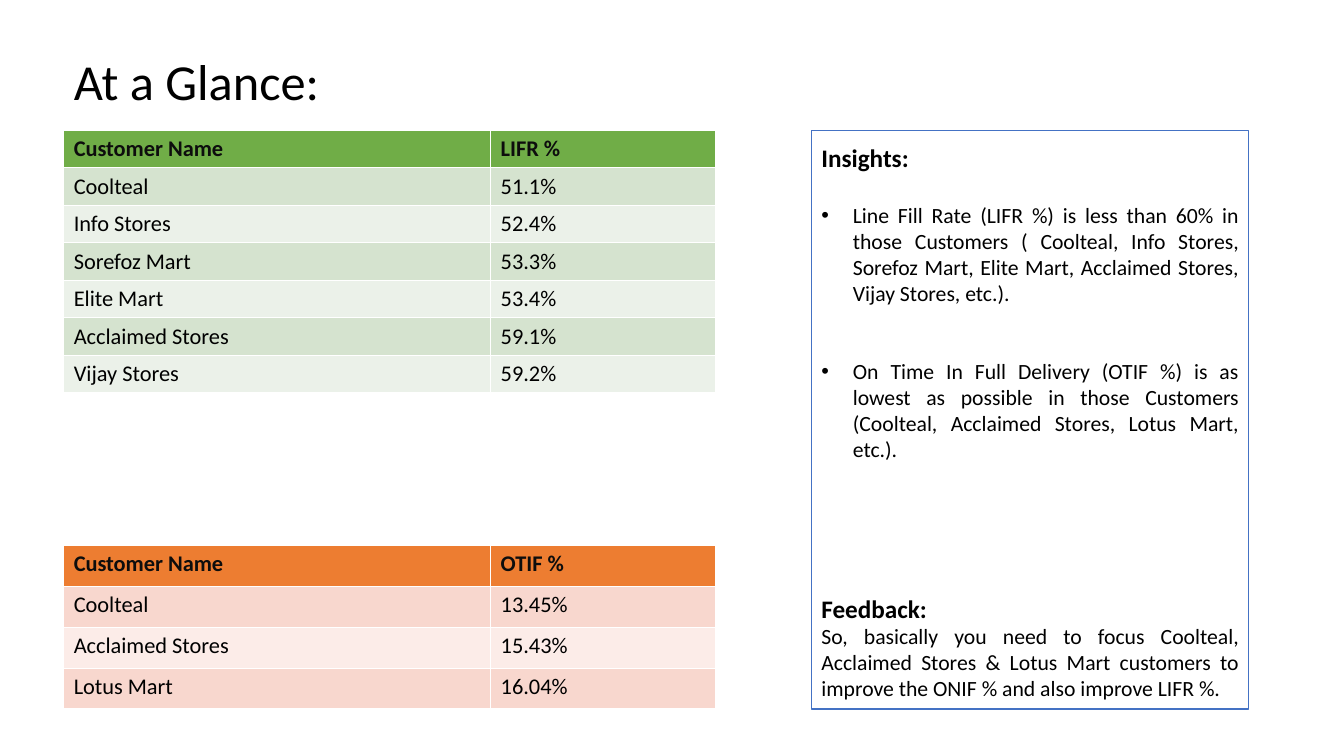
"""Build the "At a Glance" slide with two customer tables and an insights panel."""
from lxml.etree import SubElement
from pptx import Presentation
from pptx.dml.color import RGBColor
from pptx.enum.text import MSO_ANCHOR, MSO_AUTO_SIZE, PP_ALIGN
from pptx.oxml.ns import qn
from pptx.util import Pt

BLACK = RGBColor(0x00, 0x00, 0x00)
INK = RGBColor(0x0D, 0x0D, 0x0D)
WHITE = RGBColor(0xFF, 0xFF, 0xFF)
BLUE = RGBColor(0x44, 0x72, 0xC4)
GREENS = (RGBColor(0x70, 0xAD, 0x47), RGBColor(0xD5, 0xE3, 0xCF), RGBColor(0xEB, 0xF1, 0xE9))
ORANGES = (RGBColor(0xED, 0x7D, 0x31), RGBColor(0xF8, 0xD7, 0xCE), RGBColor(0xFC, 0xEC, 0xE8))

HEADLINE = "At a Glance:"
LIFR = [
    ("Customer Name", "LIFR %"),
    ("Coolteal", "51.1%"),
    ("Info Stores", "52.4%"),
    ("Sorefoz Mart", "53.3%"),
    ("Elite Mart", "53.4%"),
    ("Acclaimed Stores", "59.1%"),
    ("Vijay Stores", "59.2%"),
]
OTIF = [
    ("Customer Name", "OTIF %"),
    ("Coolteal", "13.45%"),
    ("Acclaimed Stores", "15.43%"),
    ("Lotus Mart", "16.04%"),
]
HEADING = dict(size=18, bold=True, line=22)
BULLET = dict(size=15.5, line=18.6, align=PP_ALIGN.JUSTIFY, indent=22.5)
PROSE = dict(size=15.5, line=18.6, align=PP_ALIGN.JUSTIFY)
INSIGHTS = [
    ("Insights:", HEADING, 0),
    ("Line Fill Rate (LIFR %) is less than 60% in those Customers ( Coolteal, Info Stores, "
     "Sorefoz Mart, Elite Mart, Acclaimed Stores, Vijay Stores, etc.).", BULLET, 21),
    ("On Time In Full Delivery (OTIF %) is as lowest as possible in those Customers "
     "(Coolteal, Acclaimed Stores, Lotus Mart, etc.).", BULLET, 37),
    ("Feedback:", HEADING, 93),
    ("So, basically you need to focus Coolteal, Acclaimed Stores & Lotus Mart customers to "
     "improve the ONIF % and also improve LIFR %.", PROSE, 0),
]

LEFT, TOP = 45.5, 93
COLUMNS = (305, 161)


def write(paragraph, text, size, bold=False, color=BLACK, align=PP_ALIGN.LEFT,
          line=None, before=0, indent=0):
    """Fill a paragraph; an indent keeps the template's bullet, none removes it."""
    run = paragraph.add_run()
    run.text = text
    run.font.name, run.font.size, run.font.bold = "Calibri", Pt(size), bold
    run.font.color.rgb = color
    paragraph.alignment = align
    paragraph.space_before = Pt(before)
    if line:
        paragraph.line_spacing = Pt(line)
    properties = paragraph._p.get_or_add_pPr()
    properties.set("marL", str(Pt(indent)))
    properties.set("indent", str(-Pt(indent)))
    if not indent:
        SubElement(properties, qn("a:buNone"))


def place(holder, left, top, width, height):
    """Move a placeholder and give it a white ground."""
    holder.left, holder.top, holder.width, holder.height = map(Pt, (left, top, width, height))
    holder.fill.solid()
    holder.fill.fore_color.rgb = WHITE
    holder.text_frame.word_wrap = True
    holder.text_frame.auto_size = MSO_AUTO_SIZE.NONE


def add_customers(slide, rows, top, row_height, shades):
    """Add a customer table with a header shade and two alternating row shades."""
    header, odd, even = shades
    customers = slide.shapes.add_table(
        len(rows), len(COLUMNS), Pt(LEFT), Pt(top),
        Pt(sum(COLUMNS)), Pt(row_height * len(rows))).table
    for column, width in zip(customers.columns, COLUMNS):
        column.width = Pt(width)
    for r, values in enumerate(rows):
        customers.rows[r].height = Pt(row_height)
        for c, value in enumerate(values):
            cell = customers.cell(r, c)
            cell.fill.solid()
            cell.fill.fore_color.rgb = header if r == 0 else odd if r % 2 else even
            write(cell.text_frame.paragraphs[0], value, size=16, bold=r == 0,
                  color=INK if r == 0 else BLACK)


def main():
    """Build and save the slide."""
    deck = Presentation()
    deck.slide_width, deck.slide_height = Pt(960), Pt(540)
    slide = deck.slides.add_slide(deck.slide_layouts[1])
    headline, insights = slide.placeholders

    place(headline, LEFT, 33, 736.5, 49)
    headline.text_frame.vertical_anchor = MSO_ANCHOR.MIDDLE
    write(headline.text_frame.paragraphs[0], HEADLINE, size=36)

    place(insights, 579.5, TOP, 312.5, 413.5)
    insights.line.color.rgb = BLUE
    insights.line.width = Pt(1)
    panel = insights.text_frame
    panel.vertical_anchor = MSO_ANCHOR.TOP
    panel.margin_top = Pt(8.4)
    for i, (text, style, before) in enumerate(INSIGHTS):
        paragraph = panel.add_paragraph() if i else panel.paragraphs[0]
        write(paragraph, text, before=before, **style)

    add_customers(slide, LIFR, TOP, 26.7, GREENS)
    add_customers(slide, OTIF, 389.7, 29.2, ORANGES)
    deck.save("out.pptx")


if __name__ == "__main__":
    main()
